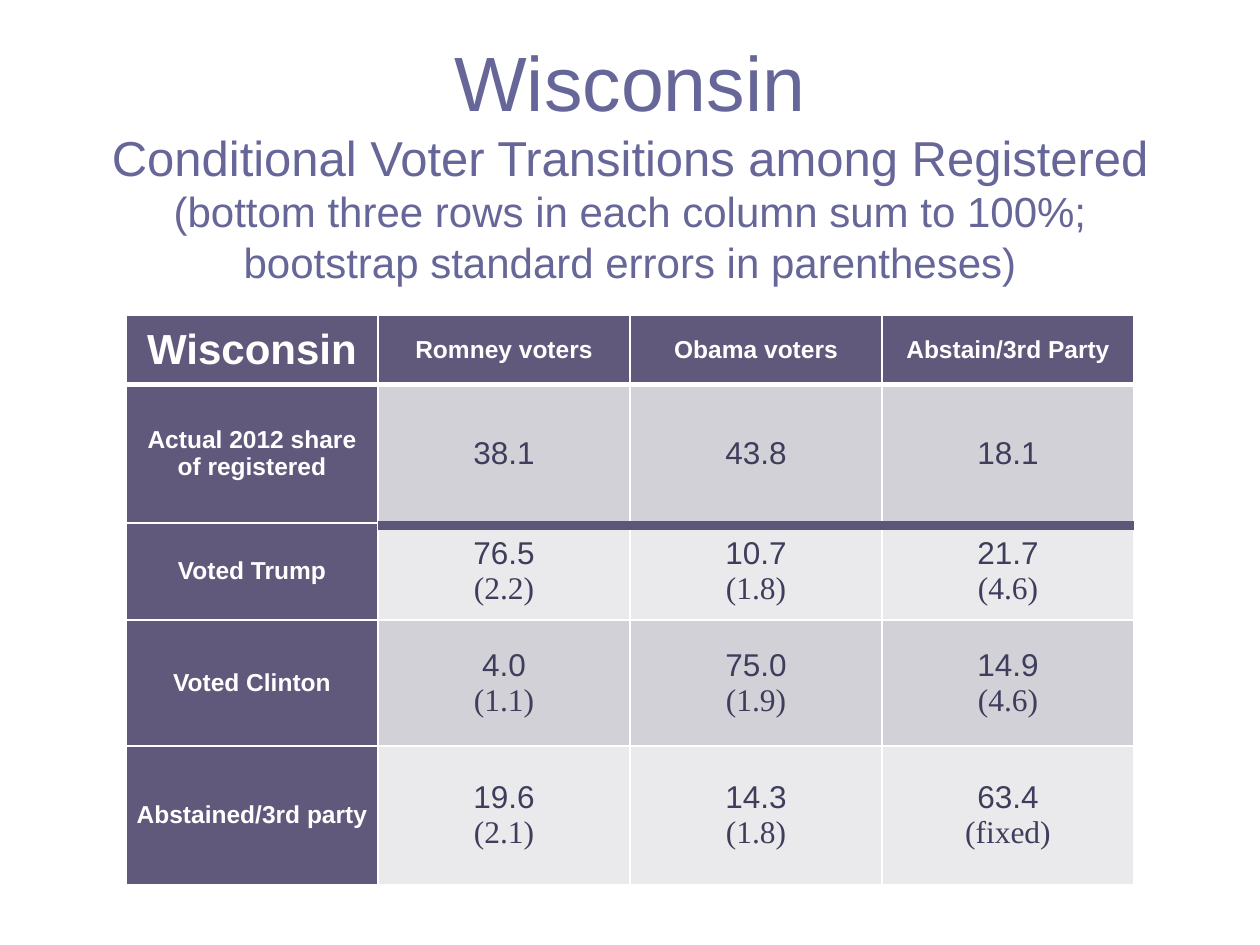
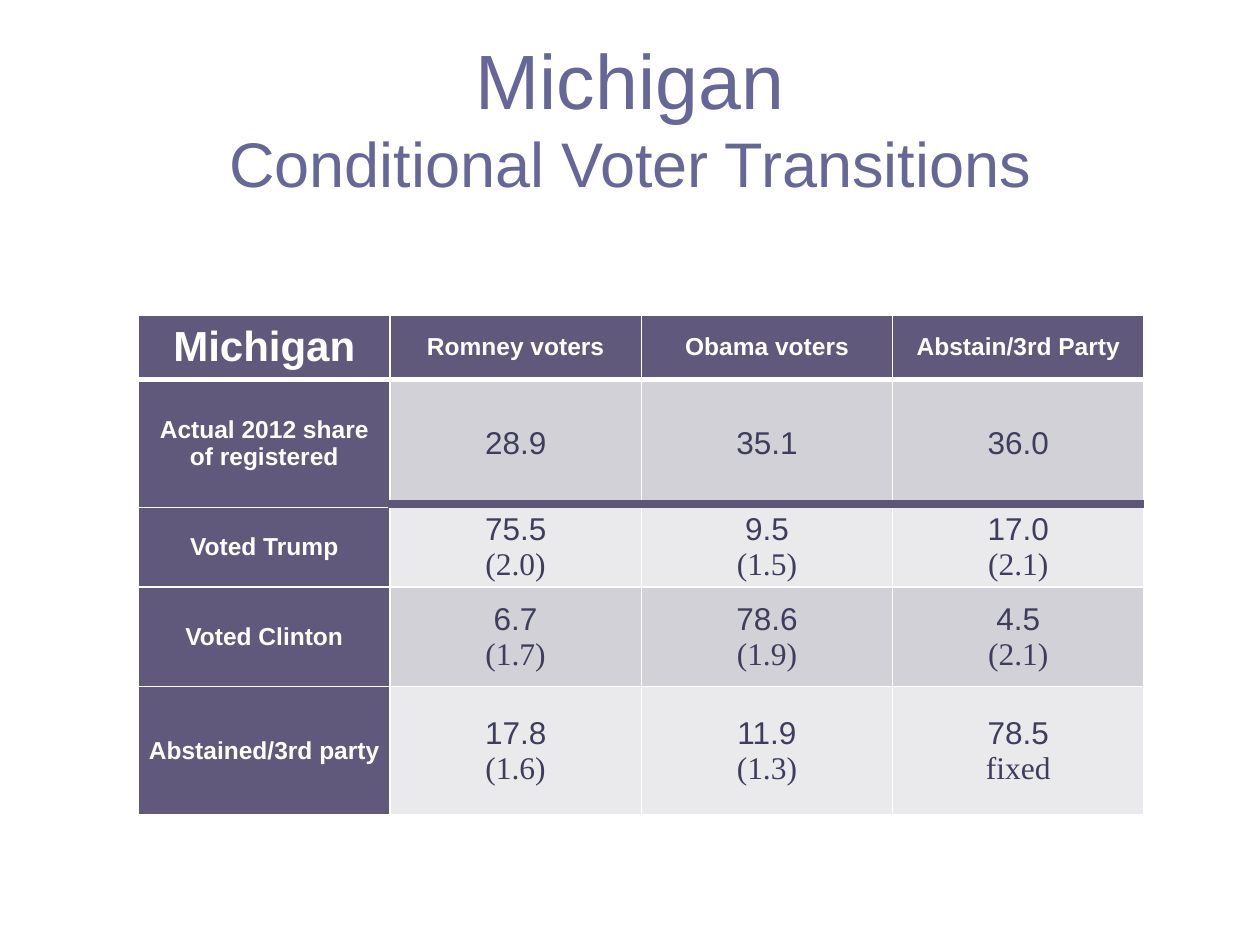
from copy import deepcopy
from dataclasses import dataclass

from lxml.etree import SubElement
from pptx import Presentation
from pptx.dml.color import RGBColor
from pptx.enum.shapes import MSO_CONNECTOR
from pptx.enum.text import MSO_ANCHOR, MSO_AUTO_SIZE, PP_ALIGN
from pptx.oxml.ns import qn
from pptx.util import Inches, Pt

COLORS = {
    "title": "666699",
    "header": "60597B",
    "band_dark": "D2D1D7",
    "band_light": "EAEAEC",
    "value": "3E3E5C",
    "white": "FFFFFF",
    "divider": "5D5679",
}
SANS, SERIF = "Arial", "Times New Roman"
VOTER_GROUPS = ("Romney voters", "Obama voters", "Abstain/3rd Party")
OUTCOMES = (
    "Actual 2012 share of registered",
    "Voted Trump",
    "Voted Clinton",
    "Abstained/3rd party",
)


@dataclass(frozen=True)
class TitleLine:
    text: str
    size: int


@dataclass(frozen=True)
class StateSlide:
    """One state's results; each value is a share, with its error below if any."""
    state: str
    subtitle: tuple[TitleLine, ...]
    title_height: float
    table_left: float
    table_width: float
    row_heights: tuple[float, ...]
    divider_y: float
    values: tuple[tuple[tuple[str, ...], ...], ...]


STATES = (
    StateSlide(
        "Wisconsin",
        (
            TitleLine("Conditional Voter Transitions among Registered", 28),
            TitleLine("(bottom three rows in each column sum to 100%;", 24),
            TitleLine("bootstrap standard errors in parentheses)", 24),
        ),
        1.95, 1, 8, (0.55, 1.1, 0.77, 1, 1.1), 4.17,
        (
            (("38.1",), ("43.8",), ("18.1",)),
            (("76.5", "(2.2)"), ("10.7", "(1.8)"), ("21.7", "(4.6)")),
            (("4.0", "(1.1)"), ("75.0", "(1.9)"), ("14.9", "(4.6)")),
            (("19.6", "(2.1)"), ("14.3", "(1.8)"), ("63.4", "(fixed)")),
        ),
    ),
    StateSlide(
        "Michigan",
        (TitleLine("Conditional Voter Transitions", 36),),
        1.25, 1.1, 7.98, (0.51, 1.02, 0.63, 0.79, 1.02), 4,
        (
            (("28.9",), ("35.1",), ("36.0",)),
            (("75.5", "(2.0)"), ("9.5", "(1.5)"), ("17.0", "(2.1)")),
            (("6.7", "(1.7)"), ("78.6", "(1.9)"), ("4.5", "(2.1)")),
            (("17.8", "(1.6)"), ("11.9", "(1.3)"), ("78.5", "fixed")),
        ),
    ),
)


def rgb(name: str) -> RGBColor:
    return RGBColor.from_string(COLORS[name])


def add_run(p, text: str, size: int, color: str, font: str = SANS, bold: bool = False):
    r = p.add_run()
    r.text = text
    r.font.name = font
    r.font.size = Pt(size)
    r.font.bold = bold
    r.font.color.rgb = rgb(color)
    return r


def set_title(slide, state: StateSlide) -> None:
    sp = slide.shapes.title
    sp.left, sp.top = Inches(0.5), Inches(0.3)
    sp.width, sp.height = Inches(9), Inches(state.title_height)
    tf = sp.text_frame
    tf.word_wrap = True
    tf.auto_size = MSO_AUTO_SIZE.NONE
    tf.vertical_anchor = MSO_ANCHOR.MIDDLE
    p = tf.paragraphs[0]
    p.alignment = PP_ALIGN.CENTER
    r = add_run(p, state.state, 44, "title")
    for line in state.subtitle:
        # A break takes the format of the line it ends, so it keeps that line's height
        p.add_line_break()
        p._p[-1].append(deepcopy(r._r.rPr))
        r = add_run(p, line.text, line.size, "title")


def set_borders(cell, top: float, bottom: float) -> None:
    tc_pr = cell._tc.get_or_add_tcPr()
    for side, width in (("L", 1), ("R", 1), ("T", top), ("B", bottom)):
        ln = SubElement(tc_pr, qn(f"a:ln{side}"), w=str(Pt(width)))
        fill = SubElement(ln, qn("a:solidFill"))
        SubElement(fill, qn("a:srgbClr"), val=COLORS["white"])


def format_cell(cell, row: int, fill: str) -> None:
    set_borders(cell, top=3 if row == 1 else 1, bottom=3 if row == 0 else 1)
    cell.fill.solid()
    cell.fill.fore_color.rgb = rgb(fill)
    cell.vertical_anchor = MSO_ANCHOR.MIDDLE
    cell.margin_left = cell.margin_right = Inches(0.07)
    cell.margin_top = cell.margin_bottom = 0


def add_label(cell, row: int, text: str, size: int = 14) -> None:
    format_cell(cell, row, "header")
    p = cell.text_frame.paragraphs[0]
    p.alignment = PP_ALIGN.CENTER
    add_run(p, text, size, "white", bold=True)


def add_value(cell, row: int, parts: tuple[str, ...]) -> None:
    format_cell(cell, row, "band_dark" if row % 2 else "band_light")
    tf = cell.text_frame
    for i, (text, font) in enumerate(zip(parts, (SANS, SERIF))):
        p = tf.add_paragraph() if i else tf.paragraphs[0]
        p.alignment = PP_ALIGN.CENTER
        add_run(p, text, 18, "value", font)


def add_transition_table(slide, state: StateSlide) -> None:
    heights = state.row_heights
    columns = len(VOTER_GROUPS) + 1
    table = slide.shapes.add_table(
        len(heights), columns, Inches(state.table_left), Inches(2.5),
        Inches(state.table_width), Inches(sum(heights)),
    ).table
    table.first_row = table.horz_banding = False
    for row, height in zip(table.rows, heights):
        row.height = Inches(height)

    add_label(table.cell(0, 0), 0, state.state, 24)
    for col, group in enumerate(VOTER_GROUPS, 1):
        add_label(table.cell(0, col), 0, group)
    for row, (outcome, values) in enumerate(zip(OUTCOMES, state.values), 1):
        add_label(table.cell(row, 0), row, outcome)
        for col, parts in enumerate(values, 1):
            add_value(table.cell(row, col), row, parts)


def add_divider(slide, state: StateSlide) -> None:
    """Separate the 2012 shares from the transition rows."""
    right = state.table_left + state.table_width
    y = Inches(state.divider_y)
    line = slide.shapes.add_connector(
        MSO_CONNECTOR.STRAIGHT, Inches(right - 6), y, Inches(right), y
    )
    line.line.color.rgb = rgb("divider")
    line.line.width = Pt(5)
    SubElement(line._element.spPr, qn("a:effectLst"))


def main() -> None:
    prs = Presentation()
    prs.slide_width, prs.slide_height = Inches(10), Inches(7.5)
    for state in STATES:
        slide = prs.slides.add_slide(prs.slide_layouts[5])
        set_title(slide, state)
        add_transition_table(slide, state)
        add_divider(slide, state)
    prs.save("out.pptx")


if __name__ == "__main__":
    main()
